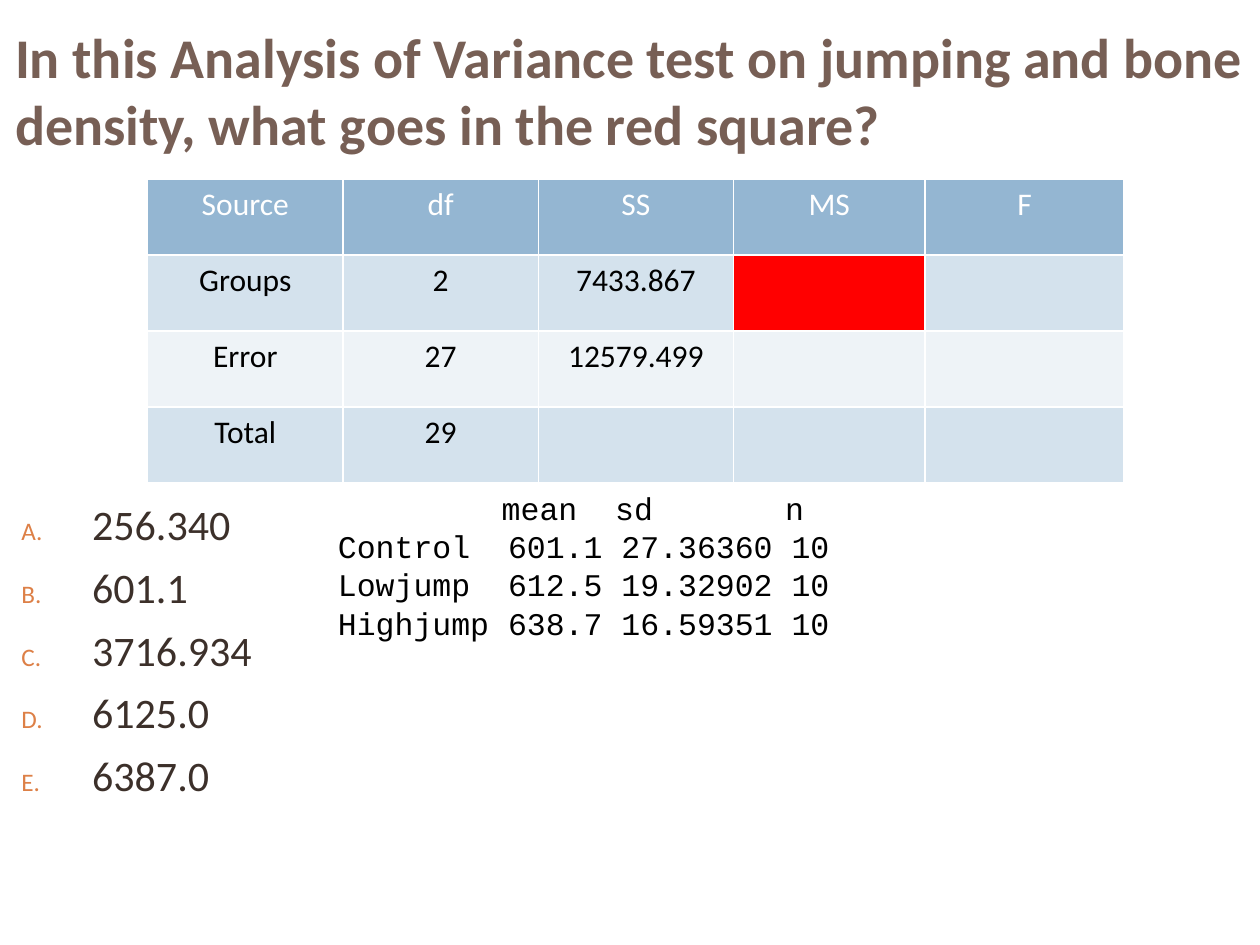
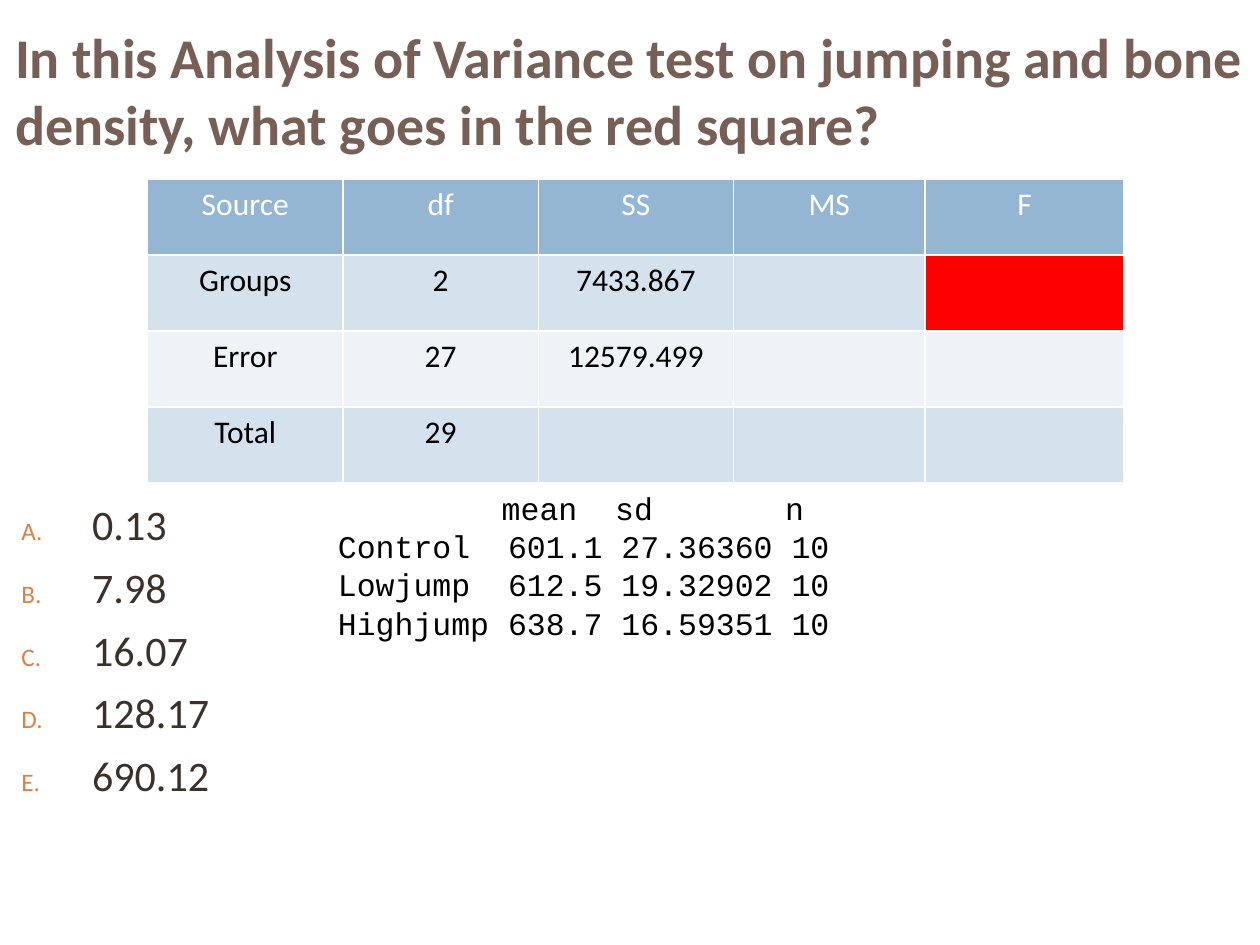
from lxml import etree
from pptx import Presentation
from pptx.dml.color import RGBColor
from pptx.enum.text import MSO_ANCHOR, MSO_AUTO_SIZE, PP_ALIGN
from pptx.oxml.ns import qn
from pptx.util import Pt

LEFT, CENTER = PP_ALIGN.LEFT, PP_ALIGN.CENTER
TOP, MIDDLE = MSO_ANCHOR.TOP, MSO_ANCHOR.MIDDLE
NO_AUTOFIT = MSO_AUTO_SIZE.NONE

TITLE_BROWN = RGBColor(0x77, 0x5F, 0x55)
ANSWER_BROWN = RGBColor(0x3C, 0x30, 0x2A)
ORANGE = RGBColor(0xDD, 0x80, 0x47)
HEADER_BLUE = RGBColor(0x94, 0xB6, 0xD2)
BAND_BLUE = RGBColor(0xD4, 0xE2, 0xED)
BAND_PALE = RGBColor(0xEE, 0xF3, 0xF7)
RED = RGBColor(0xFF, 0x00, 0x00)
WHITE = RGBColor(0xFF, 0xFF, 0xFF)
BLACK = RGBColor(0x00, 0x00, 0x00)

QUESTION = ("In this Analysis of Variance test on jumping and bone density, "
            "what goes in the red square?")
ANOVA_ROWS = [
    ["Source", "df", "SS", "MS", "F"],
    ["Groups", "2", "7433.867", "", ""],
    ["Error", "27", "12579.499", "", ""],
    ["Total", "29", "", "", ""],
]
COLUMN_WIDTHS = [111.6, 111.6, 111.6, 109.4, 113.8]
ROW_HEIGHT = 43.5
GROUPS_ROW, MS_COLUMN, F_COLUMN = 1, 3, 4

SUMMARY_ROWS = [
    ["", "mean", "sd", "n"],
    ["Control", "601.1", "27.36360", "10"],
    ["Lowjump", "612.5", "19.32902", "10"],
    ["Highjump", "638.7", "16.59351", "10"],
]
HEADER_TABS = [93.6, 158.4, 255.6]
VALUE_TABS = [97.2, 162, 259.2]

# Each slide: the red column and its answers
QUIZ = [
    (MS_COLUMN, ["256.340", "601.1", "3716.934", "6125.0", "6387.0"]),
    (F_COLUMN, ["0.13", "7.98", "16.07", "128.17", "690.12"]),
]


def add_element(parent, tag, **attributes):
    return etree.SubElement(parent, qn(tag), attributes)


class QuizDeck:
    text_font = "Calibri"
    code_font = "Courier New"

    def __init__(self):
        self.presentation = Presentation()
        self.presentation.slide_width = Pt(720)
        self.presentation.slide_height = Pt(540)
        self.slide = None

    def new_slide(self):
        layout = self.presentation.slide_layouts[1]
        self.slide = self.presentation.slides.add_slide(layout)

    def place(self, shape, left, top, width, height, anchor=TOP):
        shape.left, shape.top = Pt(left), Pt(top)
        shape.width, shape.height = Pt(width), Pt(height)
        frame = shape.text_frame
        frame.word_wrap = True
        frame.auto_size = NO_AUTOFIT
        frame.vertical_anchor = anchor
        return frame

    def style(self, paragraph, size, color, name=text_font, bold=False, align=LEFT):
        paragraph.alignment = align
        font = paragraph.font
        font.name, font.size, font.bold = name, Pt(size), bold
        font.color.rgb = color

    def title(self, text):
        frame = self.place(self.slide.shapes.title, 1.4, 12.2, 718.6, 77.8, MIDDLE)
        frame.text = text
        self.style(frame.paragraphs[0], 32, TITLE_BROWN, bold=True)

    def answers(self, choices):
        frame = self.place(self.slide.placeholders[1], 5, 281.5, 168, 193)
        frame.text = "\n".join(choices)
        for index, paragraph in enumerate(frame.paragraphs):
            paragraph.space_before = Pt(7 if index else 0)
            self.letter(paragraph)
            self.style(paragraph, 24, ANSWER_BROWN)

    def letter(self, paragraph):
        properties = paragraph._p.get_or_add_pPr()
        properties.set("marL", str(Pt(40.5)))
        properties.set("indent", str(-Pt(40.5)))
        color = add_element(properties, "a:buClr")
        add_element(color, "a:srgbClr", val=str(ORANGE))
        add_element(properties, "a:buSzPct", val="60000")
        add_element(properties, "a:buFont", typeface=self.text_font)
        add_element(properties, "a:buAutoNum", type="alphaUcPeriod")

    def table(self, rows, red_cell):
        table = self.slide.shapes.add_table(
            len(rows), len(COLUMN_WIDTHS), Pt(84.4), Pt(102.2),
            Pt(sum(COLUMN_WIDTHS)), Pt(ROW_HEIGHT * len(rows))).table
        for column, width in zip(table.columns, COLUMN_WIDTHS):
            column.width = Pt(width)
        for row_index, values in enumerate(rows):
            table.rows[row_index].height = Pt(ROW_HEIGHT)
            band = BAND_BLUE if row_index % 2 else BAND_PALE
            fill = band if row_index else HEADER_BLUE
            for column_index, value in enumerate(values):
                cell = table.cell(row_index, column_index)
                is_red = (row_index, column_index) == red_cell
                self.borders(cell)
                cell.fill.solid()
                cell.fill.fore_color.rgb = RED if is_red else fill
                cell.text = value
                self.style(cell.text_frame.paragraphs[0], 18,
                           BLACK if row_index else WHITE, align=CENTER)

    def borders(self, cell):
        properties = cell._tc.get_or_add_tcPr()
        for side in ("a:lnL", "a:lnR", "a:lnT", "a:lnB"):
            line = add_element(properties, side, w=str(Pt(1)))
            fill = add_element(line, "a:solidFill")
            add_element(fill, "a:srgbClr", val=str(WHITE))

    def summary(self, rows):
        box = self.slide.shapes.add_textbox(0, 0, 0, 0)
        frame = self.place(box, 186, 275.8, 336, 94.5)
        frame.text = "\n".join("\t".join(row) for row in rows)
        for index, paragraph in enumerate(frame.paragraphs):
            paragraph.line_spacing = Pt(21.8)
            tabs = add_element(paragraph._p.get_or_add_pPr(), "a:tabLst")
            for position in VALUE_TABS if index else HEADER_TABS:
                add_element(tabs, "a:tab", pos=str(Pt(position)), algn="l")
            self.style(paragraph, 18, BLACK, self.code_font)


def main():
    deck = QuizDeck()
    for red_column, choices in QUIZ:
        deck.new_slide()
        deck.title(QUESTION)
        deck.answers(choices)
        deck.table(ANOVA_ROWS, (GROUPS_ROW, red_column))
        deck.summary(SUMMARY_ROWS)
    deck.presentation.save("out.pptx")


if __name__ == "__main__":
    main()
